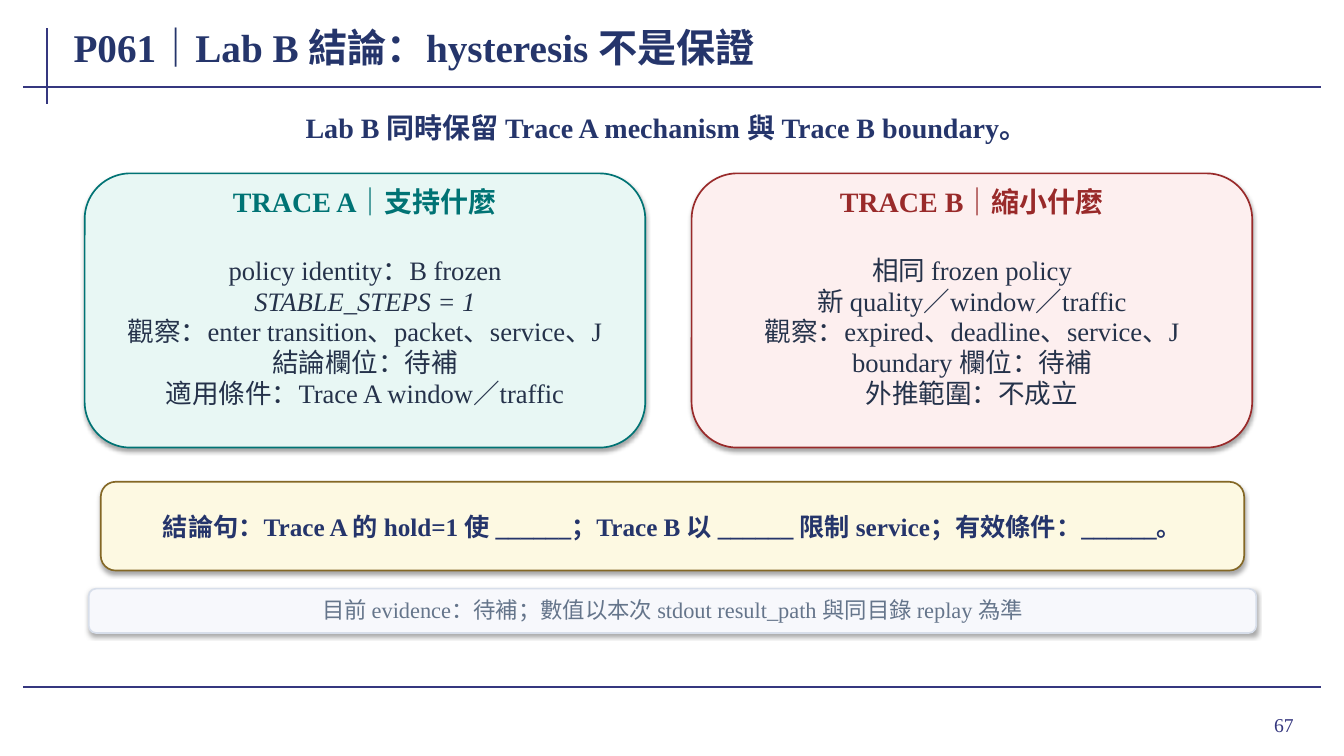
from lxml.etree import SubElement
from pptx import Presentation
from pptx.dml.color import RGBColor as Rgb
from pptx.enum.shapes import MSO_CONNECTOR as Connector, MSO_SHAPE as Shape
from pptx.enum.text import MSO_ANCHOR as Anchor, MSO_AUTO_SIZE as AutoSize, PP_ALIGN as Align
from pptx.oxml.ns import qn
from pptx.util import Inches, Pt

COLORS = {
    "rule": "35377F", "navy": "25356B", "ink": "25324A",
    "teal": "007374", "mint": "E8F7F4",
    "red": "992A2A", "rose": "FDEFEF",
    "gold": "846826", "cream": "FDF9E2",
    "mist": "D7DEEA", "frost": "F7F8FC", "slate": "65758B",
    "shadow": "000000",
}
CELL = Inches(0.02)


def grid(*cells):
    return [round(cell * CELL) for cell in cells]


def write(frame, text, size, color, bold=False, align=Align.CENTER,
          spacing=1.0, inset=(0, 0), italic_line=None):
    frame.word_wrap = True
    frame.auto_size = AutoSize.NONE
    frame.vertical_anchor = Anchor.MIDDLE
    frame.margin_left = frame.margin_right = Inches(inset[0])
    frame.margin_top = frame.margin_bottom = Inches(inset[1])
    for index, line in enumerate(text.split("\n")):
        paragraph = frame.add_paragraph() if index else frame.paragraphs[0]
        paragraph.alignment = align
        paragraph.line_spacing = spacing
        run = paragraph.add_run()
        run.text = line
        run.font.name = "Times New Roman"
        run.font.size = Pt(size)
        run.font.bold = bold
        run.font.italic = line == italic_line
        run.font.color.rgb = Rgb.from_string(COLORS[color])


deck = Presentation()
deck.slide_width, deck.slide_height = Inches(13.33), Inches(7.5)
slide = deck.slides.add_slide(deck.slide_layouts[5])
shapes = slide.shapes

for ends in [(23.5, 14, 23.5, 51.5), (11.5, 43, 655, 43), (11.5, 341, 655, 341)]:
    rule = shapes.add_connector(Connector.STRAIGHT, *grid(*ends))
    rule.line.color.rgb = Rgb.from_string(COLORS["rule"])
    rule.line.width = Pt(1.5)
    SubElement(rule._element.spPr, qn("a:effectLst"))

title = shapes.title
title.left, title.top, title.width, title.height = grid(36, 10, 517.5, 26.5)
write(title.text_frame, "P061｜Lab B 結論：hysteresis 不是保證", 28, "navy",
      bold=True, align=Align.LEFT, inset=(0.01, 0))

page_number = shapes.add_textbox(*grid(598, 346.5, 48.5, 26))
write(page_number.text_frame, "67", 14, "rule", align=Align.RIGHT, inset=(0.1, 0.05))

lead = shapes.add_textbox(*grid(47, 52.5, 567, 21))
write(lead.text_frame, "Lab B 同時保留 Trace A mechanism 與 Trace B boundary。",
      20, "navy", bold=True, inset=(0.02, 0))

TRACE_LEFT, TRACE_STEP = 42, 301
cards = [
    ((TRACE_LEFT, 86, 278, 136), "mint", "teal"),
    ((TRACE_LEFT + TRACE_STEP, 86, 278, 136), "rose", "red"),
    ((50, 239, 567, 44), "cream", "gold"),
    ((44, 292, 579, 22), "frost", "mist"),
]
for area, fill, border in cards:
    card = shapes.add_shape(Shape.ROUNDED_RECTANGLE, *grid(*area))
    card.fill.solid()
    card.fill.fore_color.rgb = Rgb.from_string(COLORS[fill])
    card.line.color.rgb = Rgb.from_string(COLORS[border])
    card.line.width = Pt(1.2)
    card.shadow.inherit = False
    effects = card._element.spPr.find(qn("a:effectLst"))
    shade = SubElement(effects, qn("a:outerShdw"), blurRad=str(Pt(3.1)),
                       dist=str(Pt(1.8)), dir="5400000", rotWithShape="0")
    tint = SubElement(shade, qn("a:srgbClr"), val=COLORS["shadow"])
    SubElement(tint, qn("a:alpha"), val="35000")
evidence = card

traces = [
    ("TRACE A｜支持什麼", "teal",
     "policy identity：B frozen\nSTABLE_STEPS = 1\n"
     "觀察：enter transition、packet、service、J\n"
     "結論欄位：待補\n適用條件：Trace A window／traffic"),
    ("TRACE B｜縮小什麼", "red",
     "相同 frozen policy\n新 quality／window／traffic\n"
     "觀察：expired、deadline、service、J\n"
     "boundary 欄位：待補\n外推範圍：不成立"),
]
for column, (heading, color, findings) in enumerate(traces):
    left = TRACE_LEFT + column * TRACE_STEP
    trace_heading = shapes.add_textbox(*grid(left + 8, 92, 262, 18))
    write(trace_heading.text_frame, heading, 20, color, bold=True,
          spacing=0.92, inset=(0.02, 0))
    trace_findings = shapes.add_textbox(*grid(left + 9, 114, 260, 102))
    write(trace_findings.text_frame, findings, 19, "ink", spacing=0.96,
          inset=(0.03, 0.02), italic_line="STABLE_STEPS = 1")

conclusion = shapes.add_textbox(*grid(59, 247, 549, 28))
write(conclusion.text_frame,
      "結論句：Trace A 的 hold=1 使 ______；Trace B 以 ______ 限制 service；有效條件：______。",
      18, "navy", bold=True, inset=(0.03, 0.01))

write(evidence.text_frame,
      "目前 evidence：待補；數值以本次 stdout result_path 與同目錄 replay 為準",
      16, "slate", spacing=0.9, inset=(0.03, 0.01))

deck.save("out.pptx")
